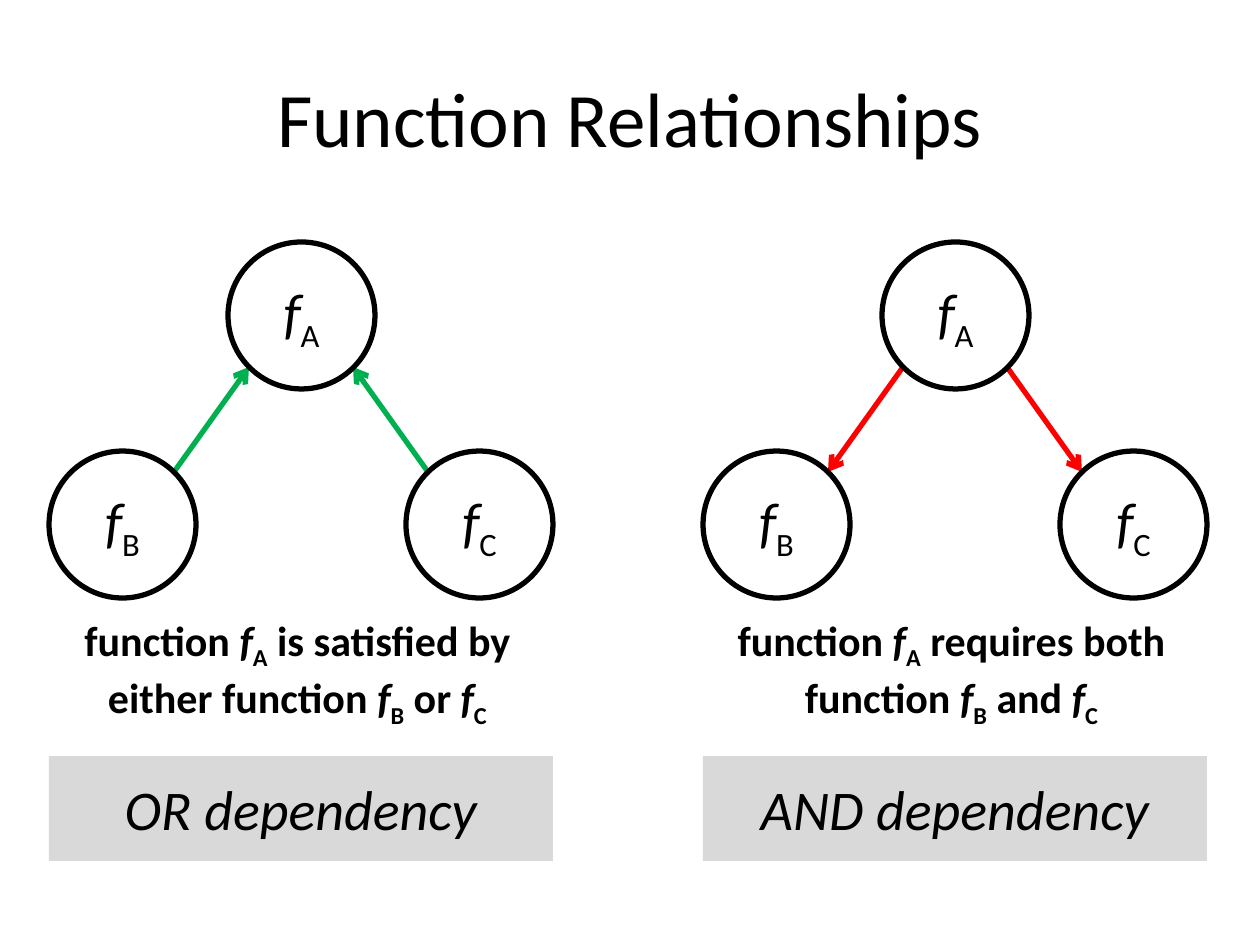
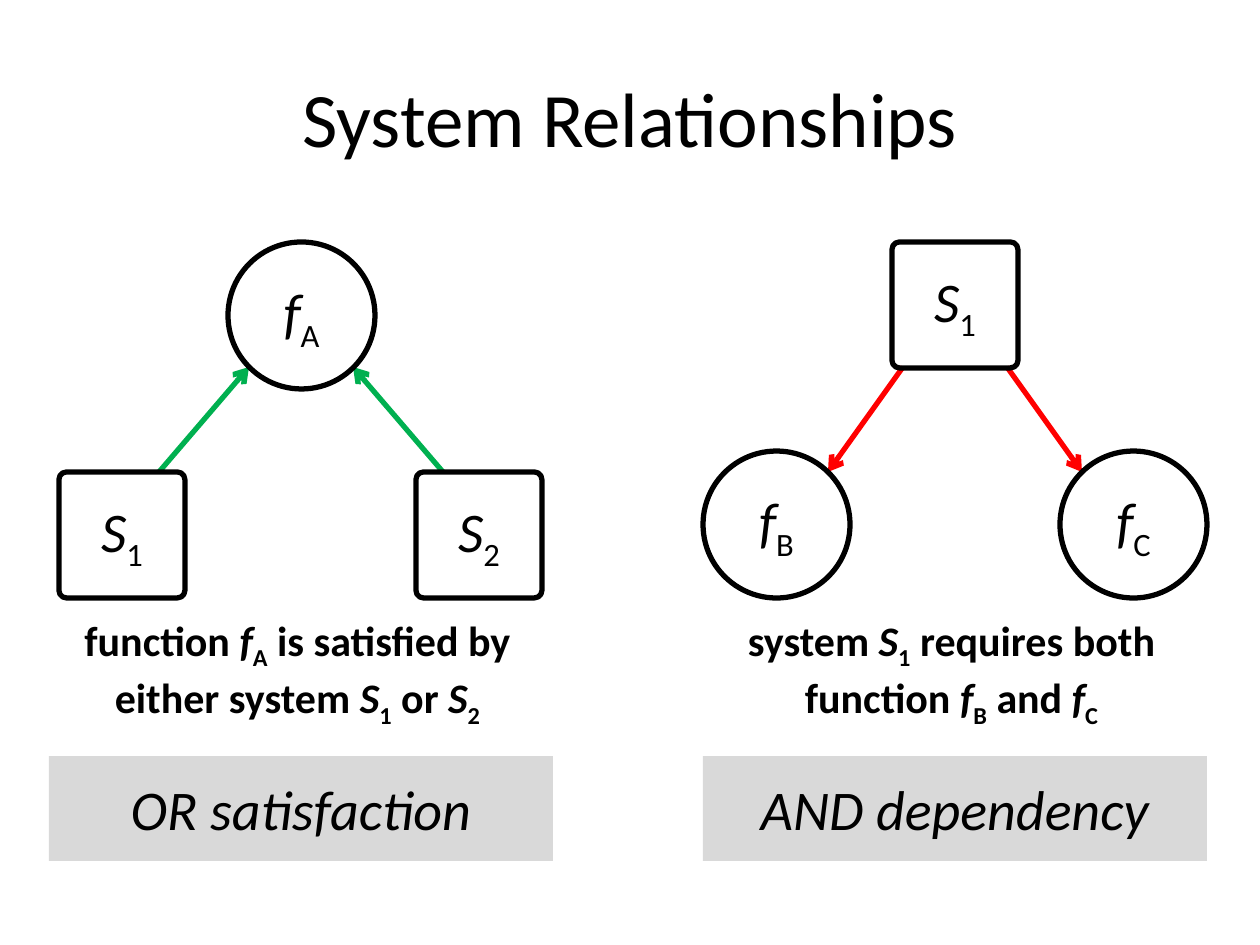
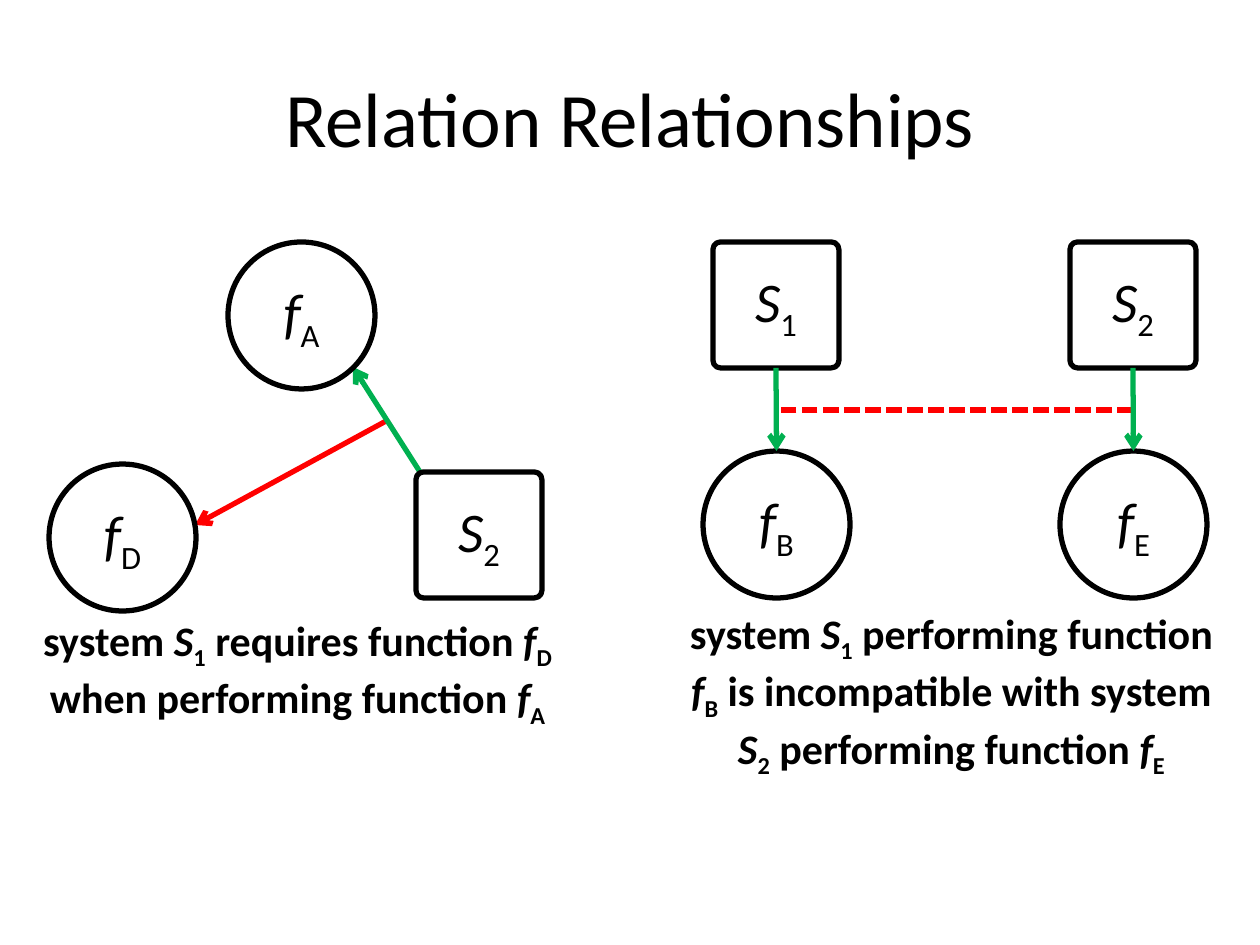
import dataclasses

import pptx
import pptx.dml.color
import pptx.enum.dml
import pptx.enum.shapes
import pptx.enum.text
import pptx.oxml
import pptx.oxml.ns
import pptx.util

SHAPES = pptx.enum.shapes.MSO_SHAPE
STRAIGHT = pptx.enum.shapes.MSO_CONNECTOR.STRAIGHT


@dataclasses.dataclass(frozen=True)
class Theme:
    font: str = "Calibri"
    ink: str = "000000"
    satisfies: str = "00B050"
    requires: str = "FF0000"
    band: str = "D9D9D9"
    title_size: int = 44
    label_size: int = 32
    caption_size: int = 24
    line_width: int = 3


THEME = Theme()
PX_PER_INCH = 126
LEFT_PANEL, RIGHT_PANEL = 49, 703
PANEL_WIDTH = 504
FIRST, MIDDLE, LAST = 73, 252, 430
CIRCLE, SQUARE = 147, 126
TOP_ROW, CIRCLE_ROW, SQUARE_ROW = 242, 451, 472
EDGE_TOP, EDGE_BOTTOM = 367, 472
APEX_SPREAD, CIRCLE_SPREAD, SQUARE_SPREAD = 52, 127, 142


def px(length):
    return pptx.util.Emu(round(length * 914400 / PX_PER_INCH))


def rgb(code):
    return pptx.dml.color.RGBColor.from_string(code)


def style_span(span, size, bold=False, italic=False):
    span.font.name = THEME.font
    span.font.size = pptx.util.Pt(size)
    span.font.color.rgb = rgb(THEME.ink)
    span.font.bold = bold
    span.font.italic = italic


def write(box, label, size, bold=False, italic=False):
    frame = box.text_frame
    frame.word_wrap = True
    frame.vertical_anchor = pptx.enum.text.MSO_ANCHOR.MIDDLE
    para = frame.paragraphs[0]
    para.alignment = pptx.enum.text.PP_ALIGN.CENTER
    for piece in label.split("|"):
        symbol, _, subscript = piece.partition("_")
        span = para.add_run()
        span.text = symbol
        style_span(span, size, bold, italic or bool(subscript))
        if subscript:
            span = para.add_run()
            span.text = subscript
            style_span(span, size, bold)
            span._r.get_or_add_rPr().set("baseline", "-25000")


def add_page(deck, title):
    page = deck.slides.add_slide(deck.slide_layouts[5])
    box = page.shapes.title
    box.left, box.top, box.width, box.height = map(px, (63, 38, 1134, 157))
    write(box, title, THEME.title_size)
    return page


def add_plain_shape(page, preset, left, top, width, height):
    shape = page.shapes.add_shape(preset, px(left), px(top), px(width), px(height))
    shape.shadow.inherit = False
    return shape


def add_node(page, label, center, top):
    is_function = label.startswith("f")
    size = CIRCLE if is_function else SQUARE
    preset = SHAPES.OVAL if is_function else SHAPES.ROUNDED_RECTANGLE
    node = add_plain_shape(page, preset, center - size // 2, top, size, size)
    if not is_function:
        node.adjustments[0] = 0.06
    node.fill.background()
    node.line.color.rgb = rgb(THEME.ink)
    node.line.width = pptx.util.Pt(THEME.line_width)
    write(node, label, THEME.label_size)
    return node


def add_edge(page, start, end, color, arrow=True):
    edge = page.shapes.add_connector(STRAIGHT, *map(px, start + end))
    edge.line.color.rgb = rgb(color)
    edge.line.width = pptx.util.Pt(THEME.line_width)
    if arrow:
        head = pptx.oxml.parse_xml(
            f'<a:tailEnd {pptx.oxml.ns.nsdecls("a")} type="arrow"/>')
        edge.line._get_or_add_ln().append(head)
    effects = pptx.oxml.parse_xml(f'<a:effectLst {pptx.oxml.ns.nsdecls("a")}/>')
    edge._element.spPr.append(effects)
    return edge


def add_caption(page, panel, label, top=640):
    box = page.shapes.add_textbox(px(panel - 28), px(top), px(553), px(63))
    write(box, label, THEME.caption_size, bold=True)


def add_band(page, panel, label):
    band = add_plain_shape(page, SHAPES.RECTANGLE, panel, 756, PANEL_WIDTH, 105)
    band.fill.solid()
    band.fill.fore_color.rgb = rgb(THEME.band)
    band.line.fill.background()
    write(band, label, THEME.label_size, italic=True)


def add_triangle(page, panel, labels, downward, caption, band):
    apex, *feet = labels
    feet_are_functions = feet[0].startswith("f")
    spread = CIRCLE_SPREAD if feet_are_functions else SQUARE_SPREAD
    row = CIRCLE_ROW if feet_are_functions else SQUARE_ROW
    center = panel + MIDDLE
    for side in (-1, 1):
        upper = (center + side * APEX_SPREAD, EDGE_TOP)
        lower = (center + side * spread, EDGE_BOTTOM)
        if downward:
            add_edge(page, upper, lower, THEME.requires)
        else:
            add_edge(page, lower, upper, THEME.satisfies)
    add_node(page, apex, center, TOP_ROW)
    for foot, column in zip(feet, (FIRST, LAST)):
        add_node(page, foot, panel + column, row)
    add_caption(page, panel, caption)
    add_band(page, panel, band)


def add_conditional_requirement(page, panel):
    add_edge(page, (388, 420), (195, 525), THEME.requires)
    add_edge(page, (420, EDGE_BOTTOM), (353, EDGE_TOP), THEME.satisfies)
    add_node(page, "f_A", panel + MIDDLE, TOP_ROW)
    add_node(page, "f_D", panel + FIRST, 464)
    add_node(page, "S_2", panel + LAST, SQUARE_ROW)
    add_caption(page, panel, "system |S_1| requires function |f_D| when performing function |f_A")


def add_incompatibility(page, panel):
    conflict = add_edge(page, (panel + LAST, 410), (panel + FIRST, 410),
                        THEME.requires, arrow=False)
    conflict.line.dash_style = pptx.enum.dml.MSO_LINE.SQUARE_DOT
    for column, system, function in ((FIRST, "S_1", "f_B"), (LAST, "S_2", "f_E")):
        center = panel + column
        performer = add_node(page, system, center, TOP_ROW)
        performed = add_node(page, function, center, CIRCLE_ROW)
        edge = add_edge(page, (center, TOP_ROW + SQUARE), (center, CIRCLE_ROW),
                        THEME.satisfies)
        edge.begin_connect(performer, 2)
        edge.end_connect(performed, 0)
    add_caption(page, panel,
                "system |S_1| performing function |f_B| is incompatible with system "
                "|S_2| performing function |f_E", top=662)


def main():
    deck = pptx.Presentation()
    deck.slide_width, deck.slide_height = px(1260), px(945)

    page = add_page(deck, "Function Relationships")
    add_triangle(page, LEFT_PANEL, ("f_A", "f_B", "f_C"), False,
                 "function |f_A| is satisfied by either function |f_B| or |f_C",
                 "OR dependency")
    add_triangle(page, RIGHT_PANEL, ("f_A", "f_B", "f_C"), True,
                 "function |f_A| requires both function |f_B| and |f_C",
                 "AND dependency")

    page = add_page(deck, "System Relationships")
    add_triangle(page, LEFT_PANEL, ("f_A", "S_1", "S_2"), False,
                 "function |f_A| is satisfied by either system |S_1| or |S_2",
                 "OR satisfaction")
    add_triangle(page, RIGHT_PANEL, ("S_1", "f_B", "f_C"), True,
                 "system |S_1| requires both function |f_B| and |f_C",
                 "AND dependency")

    page = add_page(deck, "Relation Relationships")
    add_conditional_requirement(page, LEFT_PANEL)
    add_incompatibility(page, RIGHT_PANEL)

    deck.save("out.pptx")


if __name__ == "__main__":
    main()
